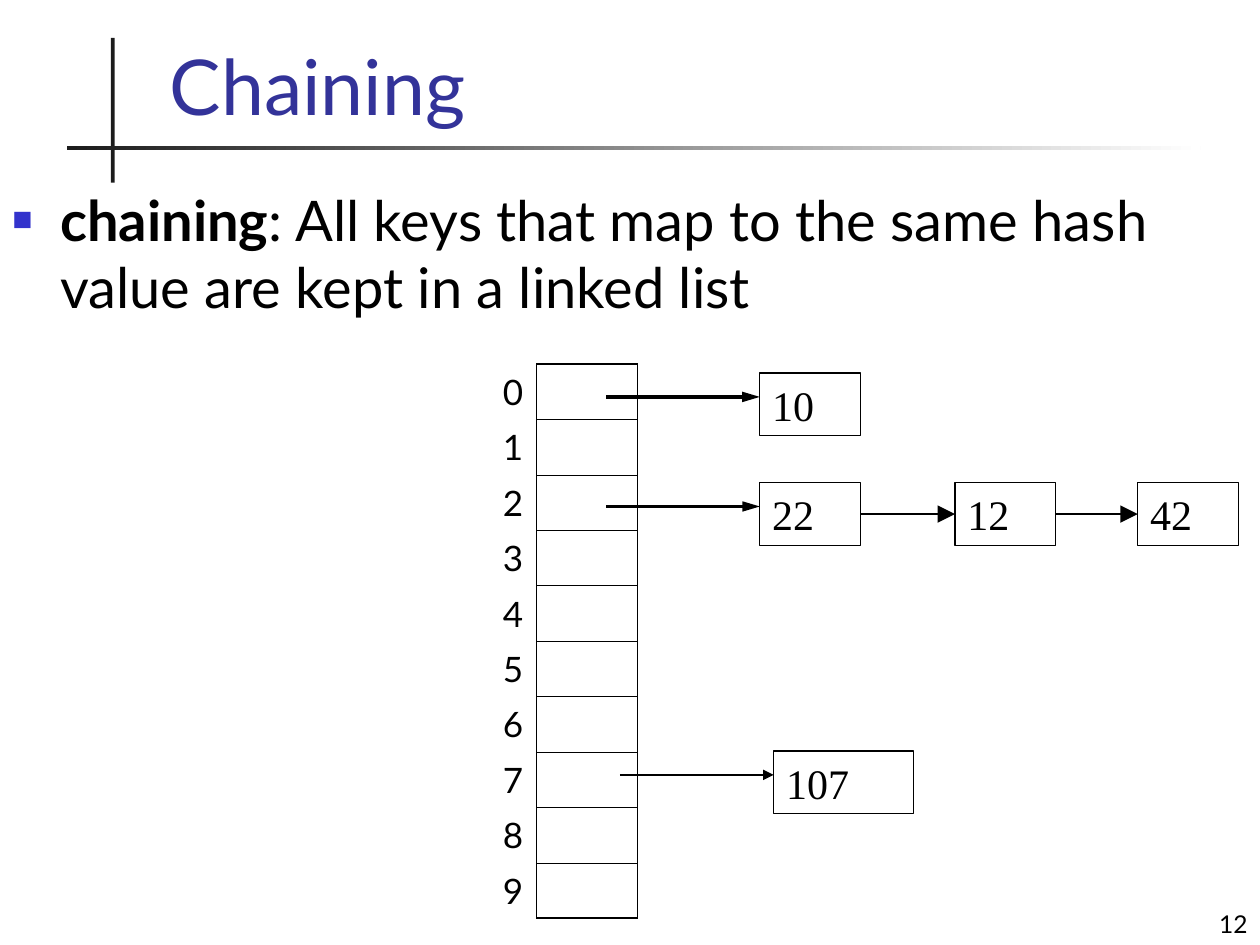
from lxml import etree
from pptx import Presentation
from pptx.dml import color
from pptx.enum import shapes, text
from pptx.oxml import ns
from pptx.util import Inches, Pt

BLACK = "000000"
SANS = "Lato"
SERIF = "Times New Roman"


def rgb(value):
    """Turn a hex string into a colour."""
    return color.RGBColor.from_string(value)


def set_font(font, name, size, value=BLACK):
    """Set the name, size and colour of a font."""
    font.name = name
    font.size = Pt(size)
    font.color.rgb = rgb(value)


def add_bar(page, left, top, width, height):
    """Add a dark bar without an outline and return it."""
    bar = page.shapes.add_shape(
        shapes.MSO_SHAPE.RECTANGLE, Inches(left), Inches(top), Inches(width), Inches(height))
    bar.shadow.inherit = False
    bar.line.fill.background()
    bar.fill.solid()
    bar.fill.fore_color.rgb = rgb("1C1C1C")
    return bar


def add_rules(page):
    """Add the crossed rules around the title."""
    add_bar(page, 0.88, 0.3, 0.03, 1.15)
    rule = add_bar(page, 0.53, 1.16, 9, 0.03)
    rule.fill.gradient()
    rule.fill.gradient_angle = 0
    for stop, value, position in zip(rule.fill.gradient_stops, ("1C1C1C", "FFFFFF"), (0, 1)):
        stop.color.rgb = rgb(value)
        stop.position = position


def add_text(page, left, top, width, height, words, size, value=BLACK,
             anchor=text.MSO_ANCHOR.BOTTOM, align=text.PP_ALIGN.LEFT):
    """Add a wrapped text box and return its paragraph."""
    box = page.shapes.add_textbox(Inches(left), Inches(top), Inches(width), Inches(height))
    box.text_frame.word_wrap = True
    box.text_frame.vertical_anchor = anchor
    para = box.text_frame.paragraphs[0]
    para.text = words
    para.alignment = align
    set_font(para.font, SANS, size, value)
    return para


def add_definition(page):
    """Add the bulleted definition with its bold term."""
    para = add_text(page, 0, 1.42, 10, 6.08, "chaining", 32, anchor=text.MSO_ANCHOR.TOP)
    para.runs[0].font.bold = True
    para.add_run().text = ": All keys that map to the same hash value are kept in a linked list"
    para.space_before = Pt(8)
    props = para._p.get_or_add_pPr()
    props.set("marL", str(Inches(0.38)))
    props.set("indent", str(Inches(-0.38)))
    bullet = (("buClr", None), ("buSzPct", {"val": "60000"}),
              ("buFont", {"typeface": "Arial"}), ("buChar", {"char": "■"}))
    nodes = {tag: etree.Element(ns.qn("a:" + tag), attrs or {}) for tag, attrs in bullet}
    etree.SubElement(nodes["buClr"], ns.qn("a:srgbClr"), val="3333CC")
    first = props.find(ns.qn("a:defRPr"))
    for node in nodes.values():
        if first is None:
            props.append(node)
        else:
            first.addprevious(node)


def set_borders(cell, widths):
    """Set the left, right, top and bottom borders, where 0 hides one."""
    props = cell._tc.get_or_add_tcPr()
    for side, width in zip("LRTB", widths):
        line = etree.SubElement(props, ns.qn("a:ln" + side), w=str(Pt(width)))
        if width:
            fill = etree.SubElement(line, ns.qn("a:solidFill"))
            etree.SubElement(fill, ns.qn("a:srgbClr"), val=BLACK)
        else:
            etree.SubElement(line, ns.qn("a:noFill"))


def add_buckets(page, count):
    """Add the hash table with an index beside each bucket."""
    thin, thick = 0.45, 1.08
    frame = page.shapes.add_table(
        count, 2, Inches(3.89), Inches(2.89), Inches(1.17), Inches(0.44 * count))
    table = frame.table
    table.first_row = table.horz_banding = False
    table.columns[0].width = Inches(0.37)
    table.columns[1].width = Inches(0.8)
    for index, row in enumerate(table.rows):
        row.height = Inches(0.44)
        label, bucket = row.cells
        label.text = str(index)
        set_borders(label, (0, thin, 0, 0))
        set_borders(bucket, (thin, thick, thin if index else thick,
                             thin if index < count - 1 else thick))
        for cell in row.cells:
            cell.fill.background()
            cell.vertical_anchor = text.MSO_ANCHOR.MIDDLE
            para = cell.text_frame.paragraphs[0]
            para.space_before = Pt(5)
            set_font(para.font, SANS, 20)


def add_node(page, left, top, key, width=0.8):
    """Add an outlined list node holding a key and return it."""
    node = page.shapes.add_shape(
        shapes.MSO_SHAPE.RECTANGLE, Inches(left), Inches(top), Inches(width), Inches(0.5))
    node.shadow.inherit = False
    node.fill.background()
    node.line.color.rgb = rgb(BLACK)
    node.line.width = Pt(0.75)
    node.text_frame.vertical_anchor = text.MSO_ANCHOR.TOP
    para = node.text_frame.paragraphs[0]
    para.text = key
    para.alignment = text.PP_ALIGN.LEFT
    set_font(para.font, SERIF, 24)
    return node


def add_arrow(page, start, end, y, weight, head_width, head_length):
    """Add a horizontal arrow and return it."""
    arrow = page.shapes.add_connector(
        shapes.MSO_CONNECTOR.STRAIGHT, Inches(start), Inches(y), Inches(end), Inches(y))
    arrow.line.color.rgb = rgb(BLACK)
    arrow.line.width = Pt(weight)
    etree.SubElement(arrow.line._get_or_add_ln(), ns.qn("a:tailEnd"),
                     type="triangle", w=head_width, len=head_length)
    etree.SubElement(arrow._element.spPr, ns.qn("a:effectLst"))
    return arrow


def link_nodes(page, first, second):
    """Join the facing sides of two nodes with an arrow."""
    arrow = add_arrow(page, 0, 1, 0, 0.75, "lg", "lg")
    arrow.begin_connect(first, 3)
    arrow.end_connect(second, 1)


def main():
    """Build the slide and save it."""
    deck = Presentation()
    deck.slide_width, deck.slide_height = Inches(10), Inches(7.5)
    page = deck.slides.add_slide(deck.slide_layouts[6])
    add_rules(page)
    add_buckets(page, 10)
    add_node(page, 6.03, 2.96, "10")
    add_node(page, 6.14, 5.96, "107", 1.11)
    chain = [add_node(page, left, 3.83, key)
             for left, key in ((6.03, "22"), (7.58, "12"), (9.03, "42"))]
    for first, second in zip(chain, chain[1:]):
        link_nodes(page, first, second)
    add_arrow(page, 4.81, 6.03, 4.02, 1.5, "med", "lg")
    add_arrow(page, 4.81, 6.03, 3.15, 2, "med", "lg")
    add_arrow(page, 4.92, 6.14, 6.15, 1.5, "med", "med")
    add_definition(page)
    add_text(page, 1.25, 0.17, 8.53, 0.92, "Chaining", 44, "333399")
    add_text(page, 8.5, 7, 1.5, 0.5, "12", 14, align=text.PP_ALIGN.RIGHT)
    deck.save("out.pptx")


if __name__ == "__main__":
    main()
